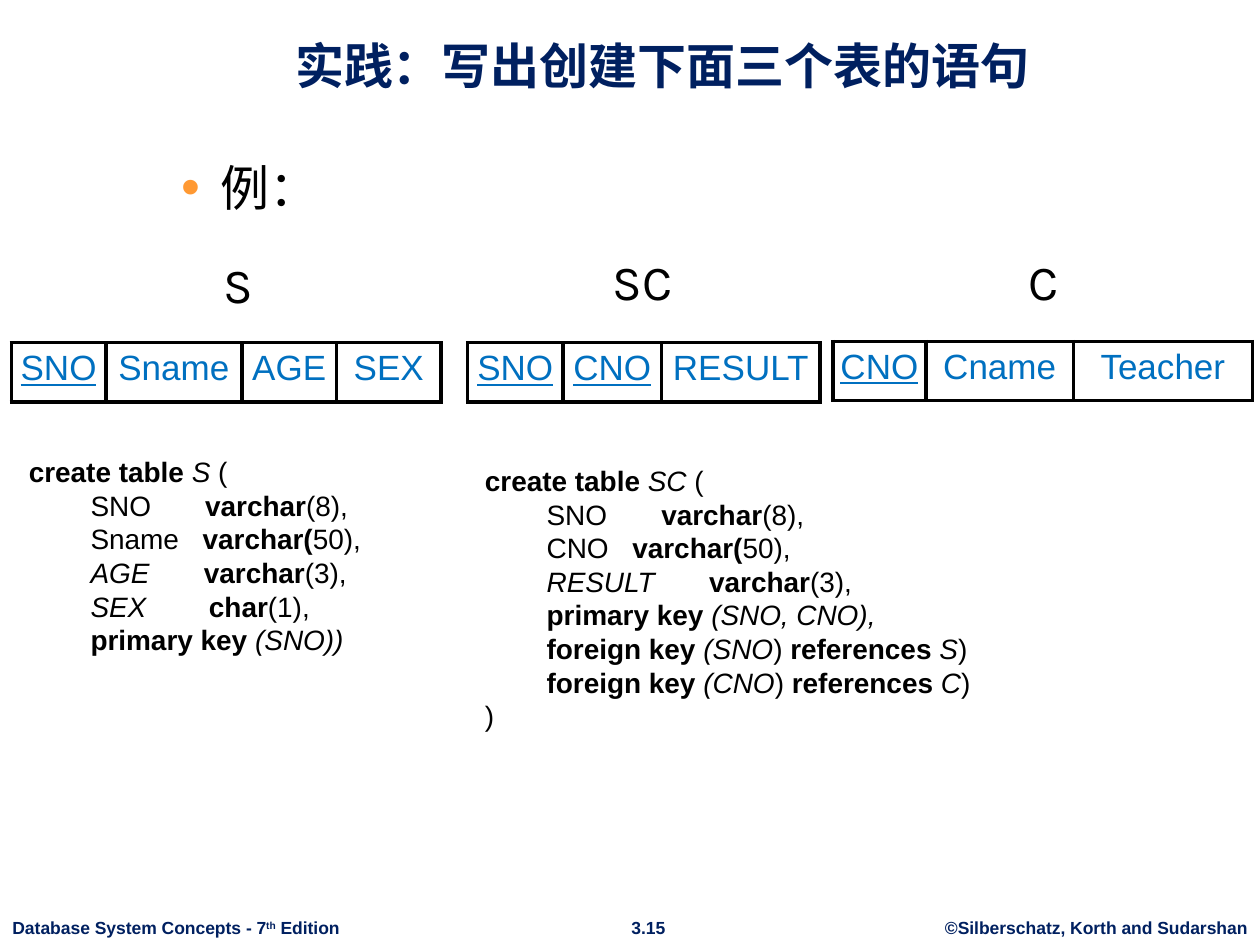
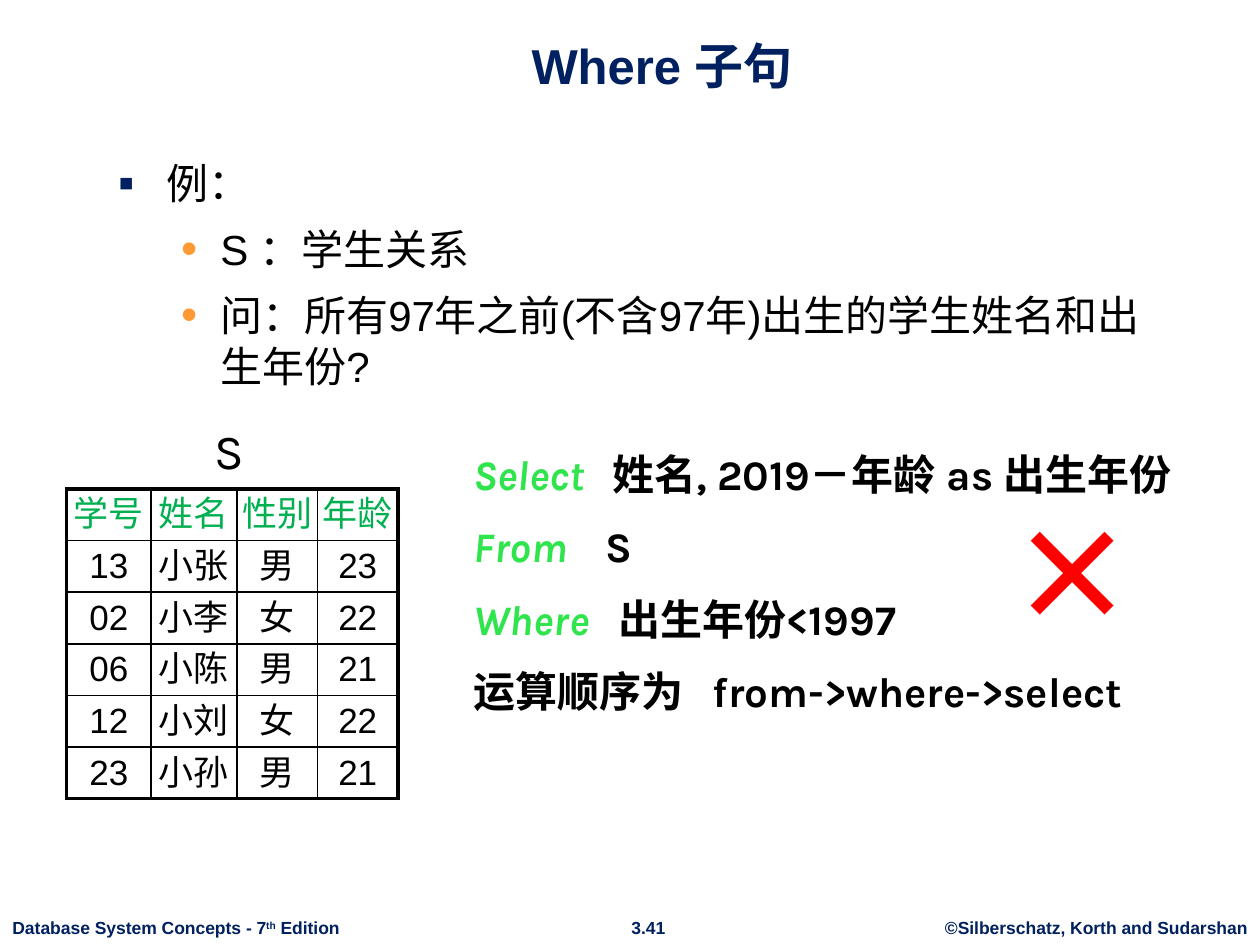
from lxml.etree import SubElement
from pptx import Presentation
from pptx.dml.color import RGBColor
from pptx.enum.text import MSO_ANCHOR as Anchor, PP_ALIGN as Align
from pptx.oxml.ns import qn
from pptx.util import Inches, Pt

NAVY, BLACK, WHITE = "002060", "000000", "FFFFFF"
BLUE, GREEN, LIME = "0070C0", "00B050", "30E44E"
ORANGE, RED = "FF9933", "FF0000"
FLAGS = {"b": "bold", "i": "italic", "u": "underline"}
SQUARE = {"char": "▪", "color": NAVY, "left": 0.38, "hang": 0.38}
DOT = {"char": "•", "color": ORANGE, "left": 0.81, "hang": 0.31}


def rgb(color):
    return RGBColor.from_string(color)


def node(parent, tag, **attrs):
    child = SubElement(parent, qn(tag))
    for key, value in attrs.items():
        child.set(key, str(value))
    return child


def add_run(par, text, marks="", size=16, font="Arial", color=BLACK):
    """Marks: b bold, i italic, u underline, ^ superscript."""
    run = par.add_run()
    run.text = text
    run.font.size, run.font.name = Pt(size), font
    run.font.color.rgb = rgb(color)
    for mark, name in FLAGS.items():
        setattr(run.font, name, mark in marks)
    props = run._r.get_or_add_rPr()
    node(props, "a:ea", typeface=font)
    if "^" in marks:
        props.set("baseline", "30000")


def add_bullet(par, char, color, left, hang):
    props = par._p.get_or_add_pPr()
    props.set("marL", str(Inches(left)))
    props.set("indent", str(-Inches(hang)))
    node(node(props, "a:buClr"), "a:srgbClr", val=color)
    node(props, "a:buSzPct", val=110000)
    node(props, "a:buFont", typeface="Arial")
    node(props, "a:buChar", char=char)


def add_tabs(par, stops):
    tabs = node(par._p.get_or_add_pPr(), "a:tabLst")
    for stop in stops:
        node(tabs, "a:tab", pos=Inches(stop), algn="l")


def add_box(slide, box, lines, wrap=True, anchor=Anchor.TOP, align=Align.LEFT,
            before=0, leading=None, inset=0.1, **style):
    """Each line holds its runs and, if any, its tab stops and bullet."""
    frame = slide.shapes.add_textbox(*map(Inches, box)).text_frame
    frame.word_wrap, frame.vertical_anchor = wrap, anchor
    frame.margin_left = frame.margin_right = Inches(inset)
    for i, line in enumerate(lines):
        par = frame.add_paragraph() if i else frame.paragraphs[0]
        par.alignment = align
        if i and before:
            par.space_before = Pt(before)
        if leading:
            par.line_spacing = leading
        if line.get("bullet"):
            add_bullet(par, **line["bullet"])
        if line.get("tabs"):
            add_tabs(par, line["tabs"])
        for text, marks, *color in line["runs"]:
            tint = {"color": color[0]} if color else {}
            add_run(par, text, marks, **{**style, **tint})


def plain(text, marks="", bullet=None):
    return {"runs": [(text, marks)], "bullet": bullet}


def add_frame(slide, title, number):
    """Title and footer, the same on every slide."""
    add_box(slide, (0.84, 0.13, 8.83, 0.67), [plain(title, "b")],
            anchor=Anchor.BOTTOM, align=Align.CENTER, size=28, color=NAVY)
    book = {"runs": [("Database System Concepts - 7", "b"), ("th", "b^"),
                     (" Edition", "b")]}
    owner = plain("©Silberschatz, Korth and Sudarshan", "b")
    for left, width, line, align in (
            (0, 2.81, book, Align.LEFT),
            (4.9, 0.49, plain(number, "b"), Align.CENTER),
            (7.4, 2.6, owner, Align.CENTER)):
        add_box(slide, (left, 7.23, width, 0.27), [line], wrap=False,
                align=align, size=10, color=NAVY)


def add_body(slide, lines, size):
    add_box(slide, (0.84, 1.2, 8.43, 5.36), lines, before=9, size=size)


def set_edges(cell, widths):
    """Widths: left, right, top, bottom."""
    props = cell._tc.get_or_add_tcPr()
    for i, (side, width) in enumerate(zip("LRTB", widths)):
        edge = node(props, f"a:ln{side}", w=Pt(width))
        node(node(edge, "a:solidFill"), "a:srgbClr", val=BLACK)
        props.remove(edge)
        props.insert(i, edge)


def add_grid(slide, left, top, cols, high, rows, inner, pad, anchor, paint,
             outer=2.25):
    """Paint gives the marks and colour of a cell from its row and text."""
    last, end = len(rows) - 1, len(cols) - 1
    box = map(Inches, (left, top, sum(cols), high * len(rows)))
    table = slide.shapes.add_table(len(rows), len(cols), *box).table
    table.first_row = table.horz_banding = False
    for col, width in zip(table.columns, cols):
        col.width = Inches(width)
    for r, row in enumerate(rows):
        table.rows[r].height = Inches(high)
        for c, text in enumerate(row):
            cell = table.cell(r, c)
            cell.margin_left = cell.margin_right = 0
            cell.margin_top = cell.margin_bottom = Inches(pad)
            cell.vertical_anchor = anchor
            if r:
                cell.fill.background()
            else:
                cell.fill.solid()
                cell.fill.fore_color.rgb = rgb(WHITE)
            edges = (c == 0, c == end, r == 0, r == last)
            set_edges(cell, [outer if edge else inner for edge in edges])
            par = cell.text_frame.paragraphs[0]
            par.alignment = Align.CENTER
            marks, color = paint(r, text)
            add_run(par, text, marks, size=20, color=color)


def add_schema(slide, name, name_at, left, top, cols, fields):
    """A relation name over one row of fields; keys are underlined."""
    add_box(slide, (*name_at, 1.42, 0.57), [plain(name)], align=Align.CENTER,
            size=28, font="Karla")
    add_grid(slide, left, top, cols, 0.47, [fields], 2.25, 0.05, Anchor.TOP,
             lambda r, text: ("u" if text.endswith("NO") else "", BLUE))


def opening(name):
    return {"runs": [("create table ", "b"), (name, "i"), (" (", "")]}


def field(name, kind, rest, stop, marks=""):
    return {"runs": [(f"\t{name}\t", marks), (kind, "b"), (rest, "")],
            "tabs": (0.49, stop)}


def clause(*runs):
    (first, marks), *others = runs
    return {"runs": [(f"\t{first}", marks), *others], "tabs": (0.49,)}


def foreign(key, target):
    return clause(("foreign key ", "b"), (f"({key}", "i"), (") ", ""),
                  ("references ", "b"), (target, "i"), (")", ""))


def build_create(slide):
    add_frame(slide, "实践：写出创建下面三个表的语句", "3.15")
    add_body(slide, [plain("例：", bullet=DOT)], 28)
    add_schema(slide, "S", (1.18, 1.97), 0.09, 2.72, (0.75, 1.08, 0.75, 0.83),
               ("SNO", "Sname", "AGE", "SEX"))
    add_schema(slide, "SC", (4.39, 1.95), 3.71, 2.72, (0.76, 0.78, 1.26),
               ("SNO", "CNO", "RESULT"))
    add_schema(slide, "C", (7.57, 1.95), 6.61, 2.71, (0.74, 1.17, 1.42),
               ("CNO", "Cname", "Teacher"))
    add_box(slide, (0.13, 3.56, 3.35, 1.72), [
        opening("S"),
        field("SNO", "varchar", "(8),", 1.4),
        field("Sname", "varchar(", "50),", 1.38),
        field("AGE", "varchar", "(3),", 1.39, "i"),
        field("SEX", "char", "(1),", 1.43, "i"),
        clause(("primary key ", "b"), ("(SNO))", "i"))])
    add_box(slide, (3.75, 3.63, 4.65, 2.79), [
        opening("SC"),
        field("SNO", "varchar", "(8),", 1.4),
        field("CNO", "varchar(", "50),", 1.17),
        field("RESULT", "varchar", "(3),", 1.78, "i"),
        clause(("primary key ", "b"), ("(SNO, CNO),", "i")),
        foreign("SNO", "S"),
        foreign("CNO", "C"),
        plain(")")])


def query(word, rest, stop):
    return {"runs": [(f"{word}\t", "bi", LIME), (rest, "b")], "tabs": (stop,)}


def build_where(slide):
    add_frame(slide, "Where 子句", "3.41")
    add_body(slide, [
        plain("例：", bullet=SQUARE),
        plain("S ：学生关系", bullet=DOT),
        plain("问：所有97年之前(不含97年)出生的学生姓名和出生年份?",
              bullet=DOT)], 24)
    add_box(slide, (1.6, 3.29, 0.42, 0.57), [plain("S")], wrap=False,
            size=28, font="Karla")
    add_box(slide, (3.66, 3.45, 6, 2.32), [
        query("Select", "姓名, 2019－年龄 as 出生年份", 1.1),
        query("From", "S", 1.05),
        query("Where", "出生年份<1997", 1.15),
        {"runs": [("运算顺序为\tfrom->where->select", "b")], "tabs": (1.9,)}],
        before=8.3, leading=1.15, size=24, font="Karla")
    students = [("学号", "姓名", "性别", "年龄"),
                ("13", "小张", "男", "23"),
                ("02", "小李", "女", "22"),
                ("06", "小陈", "男", "21"),
                ("12", "小刘", "女", "22"),
                ("23", "小孙", "男", "21")]
    add_grid(slide, 0.53, 3.88, (0.67, 0.68, 0.64, 0.64), 0.41, students, 1,
             0.02, Anchor.MIDDLE,
             lambda r, text: ("", BLACK if r else GREEN))
    add_box(slide, (8.01, 3.88, 0.75, 1.3), [plain("×", "b")], inset=0,
            size=72, font="Noto Sans CJK SC", color=RED)


def main():
    deck = Presentation()
    deck.slide_width, deck.slide_height = Inches(10), Inches(7.5)
    for build in (build_create, build_where):
        build(deck.slides.add_slide(deck.slide_layouts[6]))
    deck.save("out.pptx")


if __name__ == "__main__":
    main()
